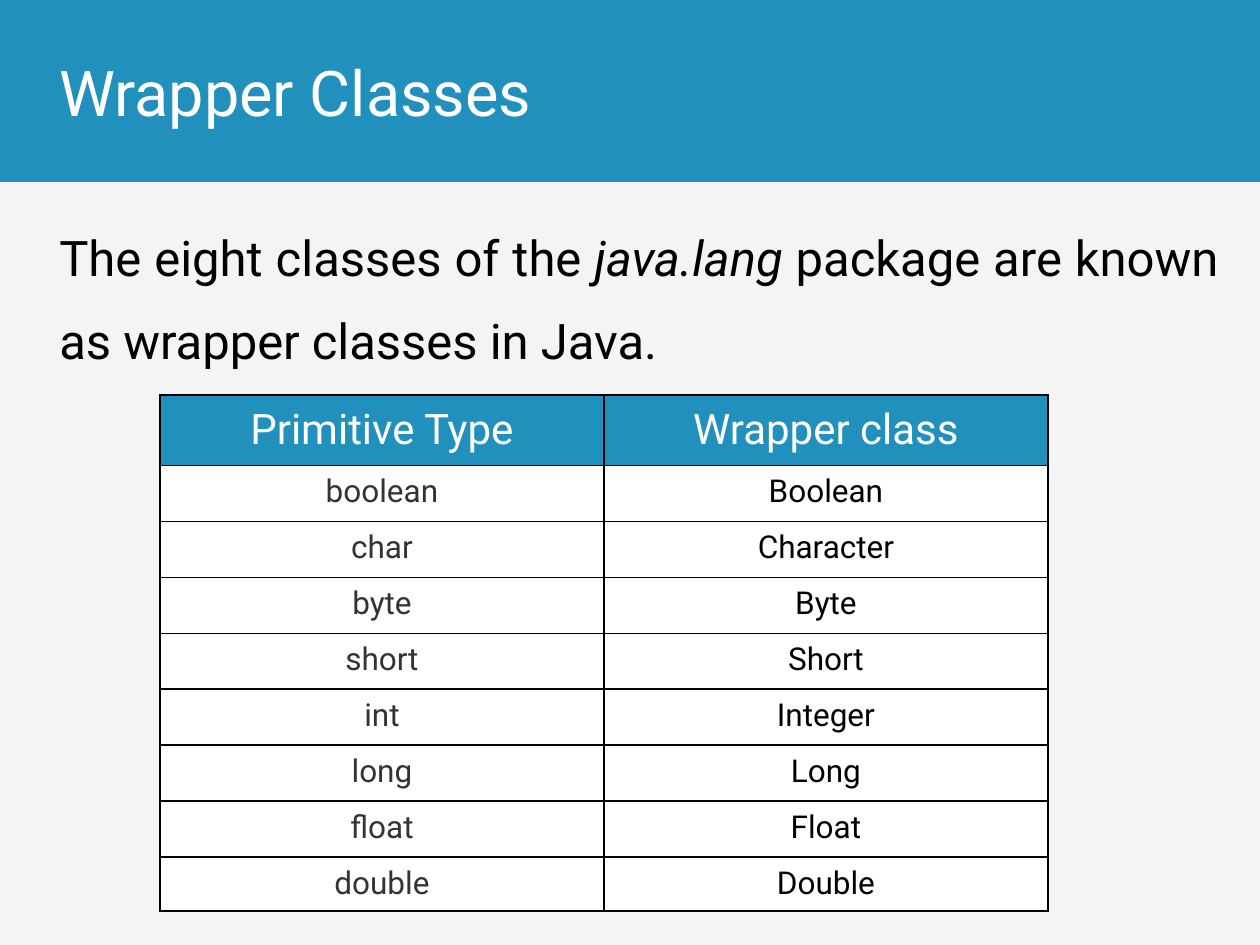
from dataclasses import dataclass

from lxml.etree import SubElement
from pptx import Presentation
from pptx.dml.color import RGBColor
from pptx.enum.shapes import MSO_SHAPE as Shape
from pptx.enum.text import MSO_ANCHOR as Anchor, PP_ALIGN as Align
from pptx.oxml.ns import qn
from pptx.util import Emu, Pt

PX_PER_INCH = 126
FONT = "Roboto"
BLUE, WHITE, BLACK, GRAY, PAPER = "2190BC", "FFFFFF", "000000", "333333", "F4F4F5"


@dataclass(frozen=True)
class Box:
    left: int
    top: int
    width: int
    height: int


@dataclass(frozen=True)
class Run:
    text: str
    size: int
    color: str
    italic: bool = False


@dataclass(frozen=True)
class Row:
    height: int
    inset: int
    fill: str
    runs: tuple[Run, Run]


def px(length: int) -> Emu:
    return Emu(round(length * 914400 / PX_PER_INCH))


def place(box: Box) -> tuple[Emu, Emu, Emu, Emu]:
    return px(box.left), px(box.top), px(box.width), px(box.height)


def paint(fill, color: str) -> None:
    fill.solid()
    fill.fore_color.rgb = RGBColor.from_string(color)


def add_runs(paragraph, *runs: Run) -> None:
    for item in runs:
        run = paragraph.add_run()
        run.text = item.text
        run.font.name = FONT
        run.font.size = Pt(item.size)
        run.font.italic = item.italic
        run.font.color.rgb = RGBColor.from_string(item.color)


def add_text(slide, box: Box, anchor: Anchor, *runs: Run):
    frame = slide.shapes.add_textbox(*place(box)).text_frame
    frame.word_wrap = True
    frame.vertical_anchor = anchor
    add_runs(frame.paragraphs[0], *runs)
    return frame.paragraphs[0]


def add_borders(cell, color: str) -> None:
    properties = cell._tc.get_or_add_tcPr()
    for index, side in enumerate(("lnL", "lnR", "lnT", "lnB")):
        line = properties.makeelement(qn(f"a:{side}"), {"w": str(Pt(1))})
        solid = SubElement(line, qn("a:solidFill"))
        SubElement(solid, qn("a:srgbClr"), val=color)
        properties.insert(index, line)


def add_table(slide, box: Box, rows: list[Row]) -> None:
    table = slide.shapes.add_table(len(rows), 2, *place(box)).table
    table.horz_banding = False
    for column in table.columns:
        column.width = px(box.width // 2)
    for row, content in zip(table.rows, rows):
        row.height = px(content.height)
        for cell, run in zip(row.cells, content.runs):
            cell.margin_left = cell.margin_right = px(content.inset)
            cell.margin_top = cell.margin_bottom = px(content.inset)
            paint(cell.fill, content.fill)
            add_borders(cell, BLACK)
            paragraph = cell.text_frame.paragraphs[0]
            paragraph.alignment = Align.CENTER
            add_runs(paragraph, run)


def main() -> None:
    presentation = Presentation()
    presentation.slide_width, presentation.slide_height = px(1260), px(945)
    slide = presentation.slides.add_slide(presentation.slide_layouts[6])
    paint(slide.background.fill, PAPER)

    # Title band
    band = slide.shapes.add_shape(Shape.RECTANGLE, *place(Box(0, 0, 1260, 182)))
    band.shadow.inherit = False
    paint(band.fill, BLUE)
    band.line.fill.background()
    add_text(slide, Box(47, 0, 1086, 182), Anchor.MIDDLE,
             Run("Wrapper Classes", 36, WHITE))

    # Introduction
    introduction = add_text(
        slide, Box(47, 198, 1184, 182), Anchor.TOP,
        Run("The eight classes of the ", 28, BLACK),
        Run("java.lang", 28, BLACK, italic=True),
        Run(" package are known as wrapper classes in Java.", 28, BLACK))
    introduction.alignment = Align.JUSTIFY
    introduction.line_spacing = 1.4

    # Table of types
    wrappers = {
        "boolean": "Boolean", "char": "Character", "byte": "Byte",
        "short": "Short", "int": "Integer", "long": "Long",
        "float": "Float", "double": "Double",
    }
    rows = [Row(64, 10, BLUE, (Run("Primitive Type", 24, WHITE),
                               Run("Wrapper class", 24, WHITE)))]
    for primitive, wrapper in wrappers.items():
        height = 40 if primitive == "double" else 56
        rows.append(Row(height, 8, WHITE, (Run(primitive, 18, GRAY),
                                           Run(wrapper, 18, BLACK))))
    add_table(slide, Box(160, 395, 888, sum(row.height for row in rows)), rows)

    presentation.save("out.pptx")


if __name__ == "__main__":
    main()
